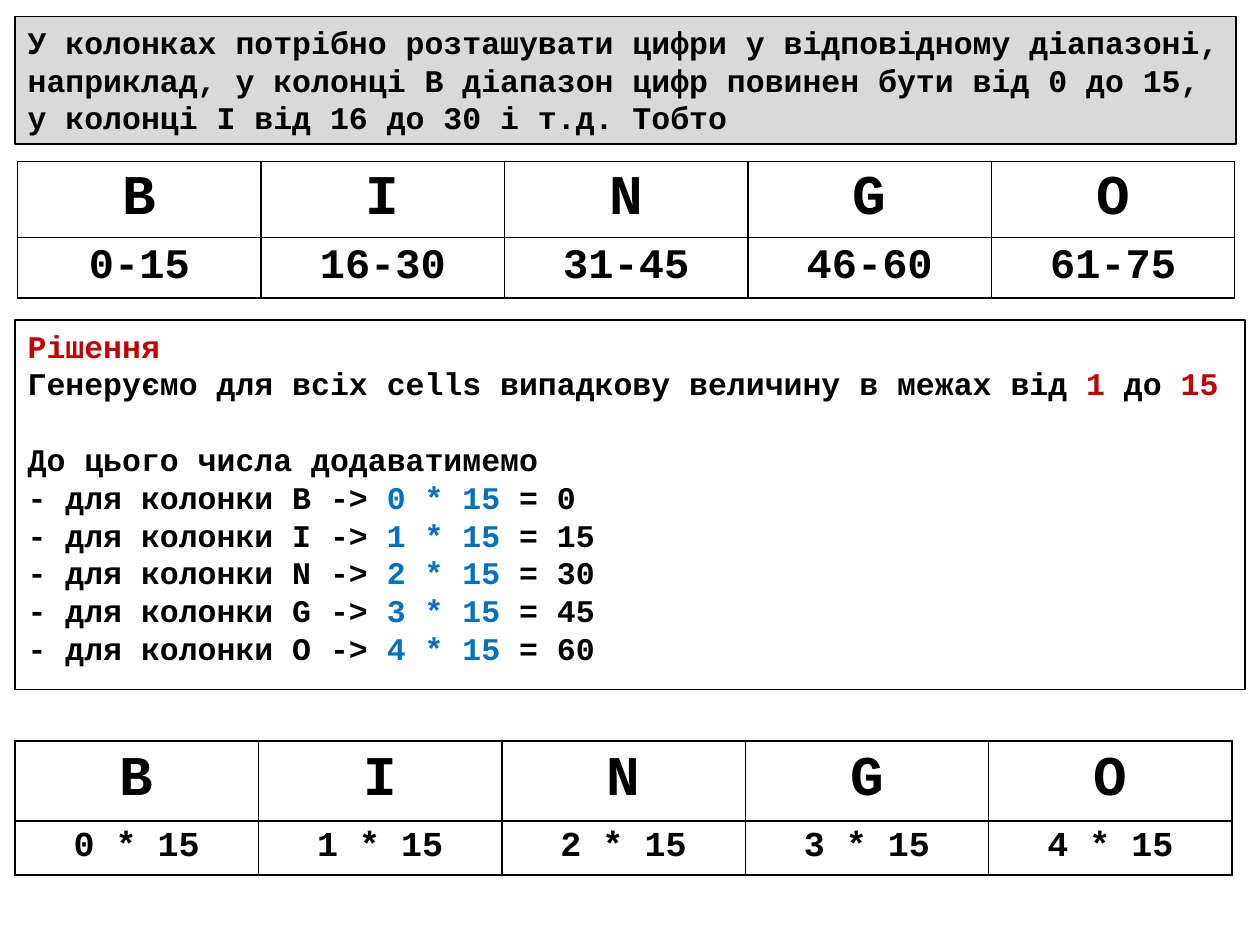
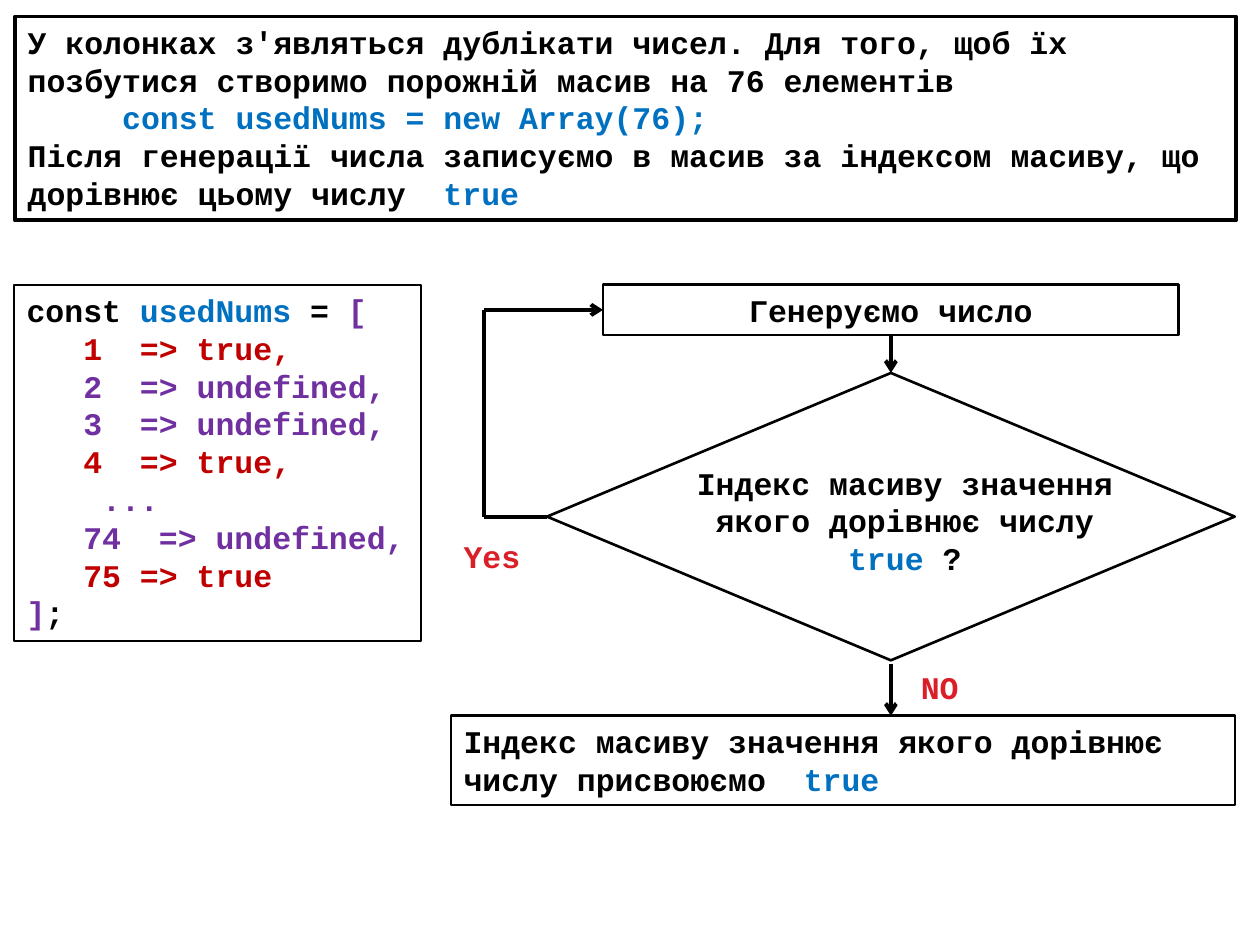
from itertools import pairwise

from lxml.etree import SubElement
from pptx import Presentation
from pptx.dml.color import RGBColor
from pptx.enum.shapes import MSO_CONNECTOR as CONN, MSO_SHAPE as SHAPE
from pptx.enum.text import MSO_ANCHOR as ANCHOR, MSO_AUTO_SIZE as FIT, PP_ALIGN as ALIGN
from pptx.oxml.ns import qn
from pptx.util import Pt

FONT = "Courier New"
SIZE = 18
CHAR = 10.8  # width of one character at SIZE
LINE = 21.6  # height of one line at SIZE

BLACK = RGBColor(0, 0, 0)
GREY = RGBColor(0xD9, 0xD9, 0xD9)
RED = RGBColor(0xC0, 0, 0)
ANSWER_RED = RGBColor(0xDA, 0x1F, 0x28)
BLUE = RGBColor(0, 0x70, 0xC0)
PURPLE = RGBColor(0x70, 0x30, 0xA0)

LETTERS = "BINGO"
STEP = 15


def points(*lengths):
    return [Pt(n) for n in lengths]


def add_run(p, text, color=BLACK, size=SIZE):
    r = p.add_run()
    r.text = text
    r.font.name, r.font.size, r.font.bold = FONT, Pt(size), True
    r.font.color.rgb = color


def write(shape, paragraphs, align=ALIGN.LEFT, anchor=ANCHOR.TOP, wrap=True):
    """Fill a shape with paragraphs, each a list of (text, colour) runs."""
    tf = shape.text_frame
    tf.word_wrap, tf.auto_size, tf.vertical_anchor = wrap, FIT.NONE, anchor
    for i, runs in enumerate(paragraphs):
        p = tf.paragraphs[0] if i == 0 else tf.add_paragraph()
        p.alignment = align
        p.space_before = Pt(0)
        indent(p, 0)
        SubElement(p._p.get_or_add_pPr(), qn("a:buNone"))
        for text, color in runs:
            add_run(p, text, color)
    return tf


def indent(p, chars):
    pPr = p._p.get_or_add_pPr()
    pPr.set("marL", str(Pt(chars * CHAR)))
    pPr.set("indent", "0")


def outline(shape, width, fill=None):
    shape.line.color.rgb = BLACK
    shape.line.width = Pt(width)
    if fill is None:
        shape.fill.background()
    else:
        shape.fill.solid()
        shape.fill.fore_color.rgb = fill


def place(shape, box):
    shape.left, shape.top, shape.width, shape.height = points(*box)


def fill_placeholder(shape, box, paragraphs, width, fill=None):
    place(shape, box)
    outline(shape, width, fill)
    return write(shape, paragraphs)


def add_node(s, kind, box, paragraphs=(), align=ALIGN.LEFT):
    sp = s.shapes.add_shape(kind, *points(*box))
    sp.shadow.inherit = False
    outline(sp, 1.5)
    if paragraphs:
        write(sp, paragraphs, align)


def add_label(s, box, runs, align=ALIGN.LEFT, wrap=True):
    write(s.shapes.add_textbox(*points(*box)), [runs], align, wrap=wrap)


def add_line(s, start, end, arrow=False):
    c = s.shapes.add_connector(CONN.STRAIGHT, *points(*start, *end))
    c.line.color.rgb = BLACK
    c.line.width = Pt(2.25)
    if arrow:
        SubElement(c.line._get_or_add_ln(), qn("a:tailEnd"), type="arrow")
    SubElement(c._element.spPr, qn("a:effectLst"))


def add_cell(cell, text, size, anchor):
    tcPr = cell._tc.get_or_add_tcPr()
    for side in ("lnL", "lnR", "lnT", "lnB"):
        ln = SubElement(tcPr, qn(f"a:{side}"), w=str(Pt(1)))
        SubElement(SubElement(ln, qn("a:solidFill")), qn("a:srgbClr"), val=str(BLACK))
    cell.fill.background()
    cell.vertical_anchor = anchor
    p = cell.text_frame.paragraphs[0]
    p.alignment = ALIGN.CENTER
    add_run(p, text, size=size)


def add_bingo_table(s, box, values, value_size, row_heights):
    """Letters of the game over one value for each column."""
    table = s.shapes.add_table(2, len(LETTERS), *points(*box)).table
    table.first_row = table.horz_banding = False
    for row, height in zip(table.rows, row_heights):
        row.height = Pt(height)
    for i, (letter, value) in enumerate(zip(LETTERS, values)):
        table.columns[i].width = Pt(box[2] / len(LETTERS))
        add_cell(table.cell(0, i), letter, 32, ANCHOR.MIDDLE)
        add_cell(table.cell(1, i), value, value_size, ANCHOR.TOP)


def add_solution(body, box):
    paragraphs = [
        [("Рішення", RED)],
        [("Генеруємо для всіх cells випадкову величину в межах від ", BLACK),
         ("1", RED), (" до ", BLACK), ("15", RED)],
        [("До цього числа додаватимемо", BLACK)],
    ]
    for i, letter in enumerate(LETTERS):
        paragraphs.append([(f"- для колонки {letter} -> ", BLACK),
                           (f"{i} * {STEP} ", BLUE), (f"= {i * STEP}", BLACK)])
    tf = fill_placeholder(body, box, paragraphs, 1)
    tf.paragraphs[2].space_before = Pt(LINE)


def add_used_numbers(body, box):
    """Code listing of the array, with its entries indented."""
    entries = [("1  => true,", RED), ("2  => undefined,", PURPLE),
               ("3  => undefined,", PURPLE), ("4  => true,", RED), ("...", PURPLE),
               ("74  => undefined,", PURPLE), ("75 => true", RED)]
    paragraphs = [
        [("const ", BLACK), ("usedNums", BLUE), (" = ", BLACK), ("[", PURPLE)],
        *[[entry] for entry in entries],
        [("]", PURPLE), (";", BLACK)],
    ]
    tf = fill_placeholder(body, box, paragraphs, 1)
    for p, (text, _) in zip(tf.paragraphs[1:], entries):
        indent(p, 4 if text == "..." else 3)


def add_flowchart(s, box):
    """Generate a number, check it, then mark it as used or try again."""
    x, y, w, h = box
    axis = x + 251.3
    node_h, node_w = 28.8, 329
    check_w, check_h, check_y = 393, 164.2, y + 50.4
    assign_h = 51
    node_x, check_x = axis - node_w / 2, axis - check_w / 2
    check_mid = check_y + check_h / 2
    assign_y = y + h - assign_h

    add_node(s, SHAPE.RECTANGLE, (node_x, y, node_w, node_h),
             [[("Генеруємо число", BLACK)]], ALIGN.CENTER)
    add_node(s, SHAPE.DIAMOND, (check_x, check_y, check_w, check_h))
    add_label(s, (x + 126.7, y + 98.7, 265, 72.7),
              [("Індекс масиву значення якого дорівнює числу ", BLACK),
               ("true", BLUE), (" ?", BLACK)], ALIGN.CENTER)
    add_node(s, SHAPE.RECTANGLE, (x, assign_y, w, assign_h),
             [[("Індекс масиву значення якого дорівнює числу присвоюємо  ", BLACK),
               ("true", BLUE)]])

    add_line(s, (axis, y + node_h), (axis, check_y), arrow=True)
    add_line(s, (axis, check_y + check_h + 2), (axis, assign_y), arrow=True)
    loop_x, node_mid = x + 18.7, y + node_h / 2
    loop = [(check_x, check_mid), (loop_x, check_mid), (loop_x, node_mid), (node_x, node_mid)]
    for start, end in pairwise(loop):
        add_line(s, start, end, arrow=end == loop[-1])

    add_label(s, (axis + 10, y + 215.3, 36, 29), [("NO", ANSWER_RED)], wrap=False)
    add_label(s, (x, y + 140.4, 47, 29), [("Yes", ANSWER_RED)], wrap=False)


def build_ranges_slide(s):
    title, body = s.placeholders
    fill_placeholder(title, (8.6, 9.4, 697.7, 72.7), [[(
        "У колонках потрібно розташувати цифри у відповідному діапазоні, "
        "наприклад, у колонці B діапазон цифр повинен бути від 0 до 15, "
        "у колонці I від 16 до 30 і т.д. Тобто", BLACK)]], 1, GREY)
    ranges = [f"{i * STEP + (i > 0)}-{(i + 1) * STEP}" for i in range(len(LETTERS))]
    add_bingo_table(s, (10.1, 92.2, 695.5, 77.7), ranges, 24, (43.4, 34.3))
    add_solution(body, (8.6, 183, 702.7, 211))
    offsets = [f"{i} * {STEP}" for i in range(len(LETTERS))]
    add_bingo_table(s, (8.6, 423.4, 695.5, 76.7), offsets, 20, (45.7, 31))


def build_duplicates_slide(s):
    title, body = s.placeholders
    tf = fill_placeholder(title, (8.6, 9.4, 697.7, 116.6), [
        [("У колонках з'являться дублікати чисел. Для того, щоб їх "
          "позбутися створимо порожній масив на 76 елементів", BLACK)],
        [("const usedNums = new Array(76);", BLUE)],
        [("Після генерації числа записуємо в масив за індексом масиву, що "
          "дорівнює цьому числу  ", BLACK), ("true", BLUE)],
    ], 2.25)
    indent(tf.paragraphs[1], 5)
    add_used_numbers(body, (8, 162.7, 232.6, 203.8))
    add_flowchart(s, (257.8, 162.7, 448, 297.3))


def main():
    prs = Presentation()
    prs.slide_width, prs.slide_height = points(720, 540)
    for build in (build_ranges_slide, build_duplicates_slide):
        build(prs.slides.add_slide(prs.slide_layouts[1]))
    prs.save("out.pptx")


if __name__ == "__main__":
    main()
